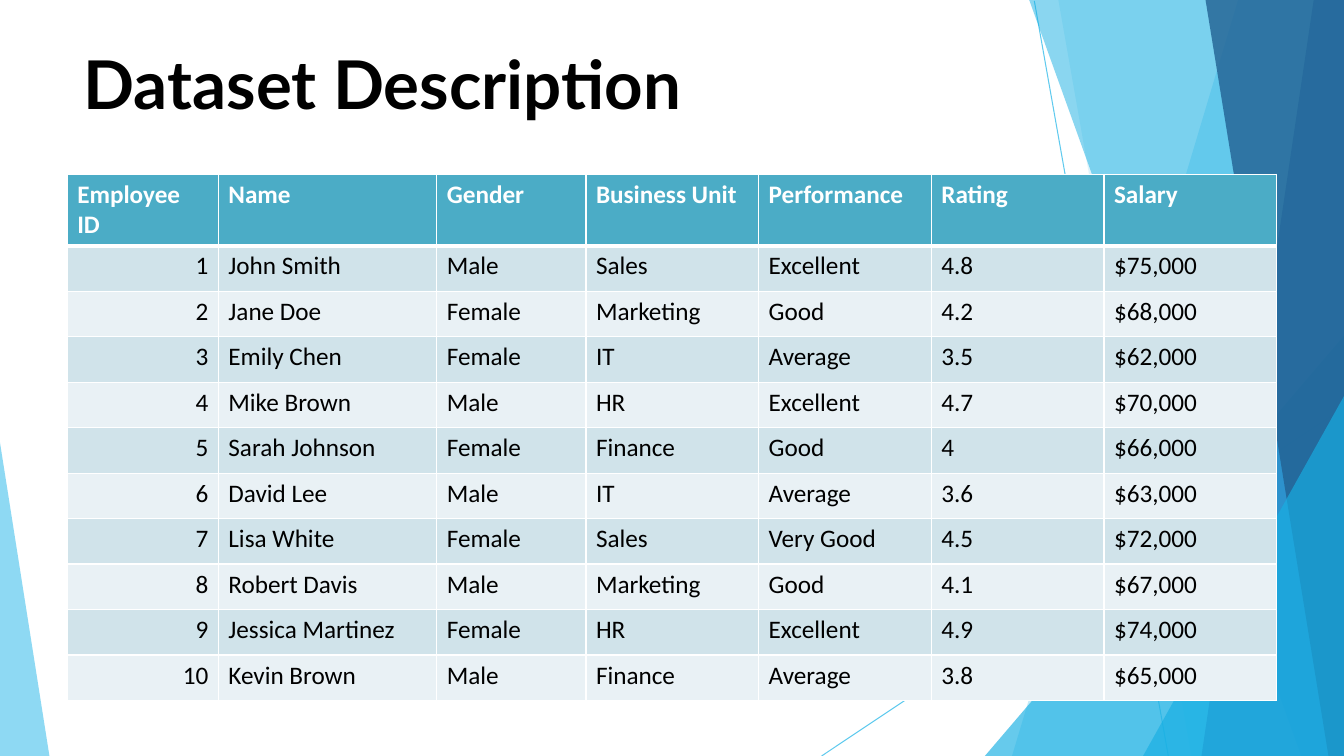
import lxml.etree
import pptx
import pptx.dml.color
import pptx.enum.shapes
import pptx.enum.text
import pptx.oxml.ns
import pptx.util

RGBColor = pptx.dml.color.RGBColor
WHITE = RGBColor(0xFF, 0xFF, 0xFF)
BLACK = RGBColor(0x00, 0x00, 0x00)
SKY = RGBColor(0x5F, 0xCA, 0xEE)
AZURE = RGBColor(0x17, 0xAF, 0xE3)
BLUE = RGBColor(0x2D, 0x83, 0xC3)
NAVY = RGBColor(0x22, 0x61, 0x92)
HEADER = RGBColor(0x4B, 0xAC, 0xC6)
BANDS = (RGBColor(0xE9, 0xF1, 0xF5), RGBColor(0xD0, 0xE3, 0xEA))

WIDTH = pptx.util.Inches(13.333)
HEIGHT = pptx.util.Inches(7.5)

LINES = [((76.96, 0.13), (86.93, 100)), ((100, 53.87), (61.13, 100))]
RIGHT_EDGE = [(100, 100), (100, 0)]
FACETS = [
    ([(92.12, 0), (75.3, 100), *RIGHT_EDGE], SKY, 36),
    ([(78.75, 0), (88.65, 100), *RIGHT_EDGE], SKY, 20),
    ([(100, 44.4), (73.28, 100), (100, 100)], AZURE, 66),
    ([(76.58, 0), (96.83, 100), *RIGHT_EDGE], AZURE, 50),
    ([(97.75, 0), (89.4, 100), *RIGHT_EDGE], BLUE, 70),
    ([(89.7, 0), (98.85, 100), *RIGHT_EDGE], NAVY, 80),
    ([(100, 52.4), (85.05, 100), (100, 100)], AZURE, 66),
    ([(0, 58.53), (0, 100), (3.68, 100)], SKY, 70),
]

COLUMN_SHARES = [11.25, 16.25, 11.1] + [12.85] * 4
ROW_SHARE = 6.02
EMPLOYEES = [
    ("Employee ID", "Name", "Gender", "Business Unit", "Performance", "Rating", "Salary"),
    ("1", "John Smith", "Male", "Sales", "Excellent", "4.8", "$75,000"),
    ("2", "Jane Doe", "Female", "Marketing", "Good", "4.2", "$68,000"),
    ("3", "Emily Chen", "Female", "IT", "Average", "3.5", "$62,000"),
    ("4", "Mike Brown", "Male", "HR", "Excellent", "4.7", "$70,000"),
    ("5", "Sarah Johnson", "Female", "Finance", "Good", "4", "$66,000"),
    ("6", "David Lee", "Male", "IT", "Average", "3.6", "$63,000"),
    ("7", "Lisa White", "Female", "Sales", "Very Good", "4.5", "$72,000"),
    ("8", "Robert Davis", "Male", "Marketing", "Good", "4.1", "$67,000"),
    ("9", "Jessica Martinez", "Female", "HR", "Excellent", "4.9", "$74,000"),
    ("10", "Kevin Brown", "Male", "Finance", "Average", "3.8", "$65,000"),
]


def across(share):
    return round(WIDTH * share / 100)


def down(share):
    return round(HEIGHT * share / 100)


def place(point):
    return across(point[0]), down(point[1])


def sub(parent, tag, **attributes):
    return lxml.etree.SubElement(parent, pptx.oxml.ns.qn(tag), attributes)


def style(p, font, size, color, bold):
    p.font.name = font
    p.font.size = pptx.util.Pt(size)
    p.font.color.rgb = color
    p.font.bold = bold


def add_line(slide, start, end):
    line = slide.shapes.add_connector(
        pptx.enum.shapes.MSO_CONNECTOR.STRAIGHT, *place(start), *place(end))
    line.line.color.rgb = SKY
    line.line.width = pptx.util.Pt(0.75)
    sub(line.element.spPr, "a:effectLst")


def add_facet(slide, points, color, opacity):
    builder = slide.shapes.build_freeform(*place(points[0]))
    builder.add_line_segments([place(point) for point in points[1:]], close=True)
    sp = builder.convert_to_shape()
    sp.shadow.inherit = False
    sp.line.fill.background()
    sp.fill.solid()
    sp.fill.fore_color.rgb = color
    tint = sp.element.spPr.find(".//" + pptx.oxml.ns.qn("a:srgbClr"))
    sub(tint, "a:alpha", val=str(opacity * 1000))


def add_title(slide, text):
    title = slide.shapes.title
    title.left, title.top = place((6.23, 5.6))
    title.width, title.height = place((87.6, 11.07))
    title.element.getparent().append(title.element)
    tf = title.text_frame
    tf.text = text
    tf.margin_left = tf.margin_right = tf.margin_top = tf.margin_bottom = 0
    tf.vertical_anchor = pptx.enum.text.MSO_ANCHOR.TOP
    p = tf.paragraphs[0]
    p.alignment = pptx.enum.text.PP_ALIGN.LEFT
    style(p, "Lato", 48, BLACK, True)


def border_cell(cell, bottom):
    properties = cell._tc.get_or_add_tcPr()
    widths = {"a:lnL": 1, "a:lnR": 1, "a:lnT": 1, "a:lnB": bottom}
    for index, (side, width) in enumerate(widths.items()):
        line = sub(properties, side, w=str(pptx.util.Pt(width)))
        sub(sub(line, "a:solidFill"), "a:srgbClr", val=str(WHITE))
        properties.insert(index, line)


def fill_cell(cell, text, row, column):
    is_header = row == 0
    cell.text = text
    cell.fill.solid()
    cell.fill.fore_color.rgb = HEADER if is_header else BANDS[row % 2]
    border_cell(cell, 3 if is_header else 1)
    p = cell.text_frame.paragraphs[0]
    style(p, "Calibri", 18, WHITE if is_header else BLACK, is_header)
    if column == 0 and not is_header:
        p.alignment = pptx.enum.text.PP_ALIGN.RIGHT


def add_employee_table(slide):
    frame = slide.shapes.add_table(
        len(EMPLOYEES), len(COLUMN_SHARES), *place((5, 23.03)),
        *place((sum(COLUMN_SHARES), ROW_SHARE * len(EMPLOYEES))))
    table = frame.table
    for column, share in zip(table.columns, COLUMN_SHARES):
        column.width = across(share)
    for i, record in enumerate(EMPLOYEES):
        table.rows[i].height = down(ROW_SHARE)
        for j, text in enumerate(record):
            fill_cell(table.cell(i, j), text, i, j)


def main():
    prs = pptx.Presentation()
    prs.slide_width, prs.slide_height = WIDTH, HEIGHT
    slide = prs.slides.add_slide(prs.slide_layouts[5])
    for start, end in LINES:
        add_line(slide, start, end)
    for points, color, opacity in FACETS:
        add_facet(slide, points, color, opacity)
    add_title(slide, "Dataset Description")
    add_employee_table(slide)
    prs.save("out.pptx")


if __name__ == "__main__":
    main()
